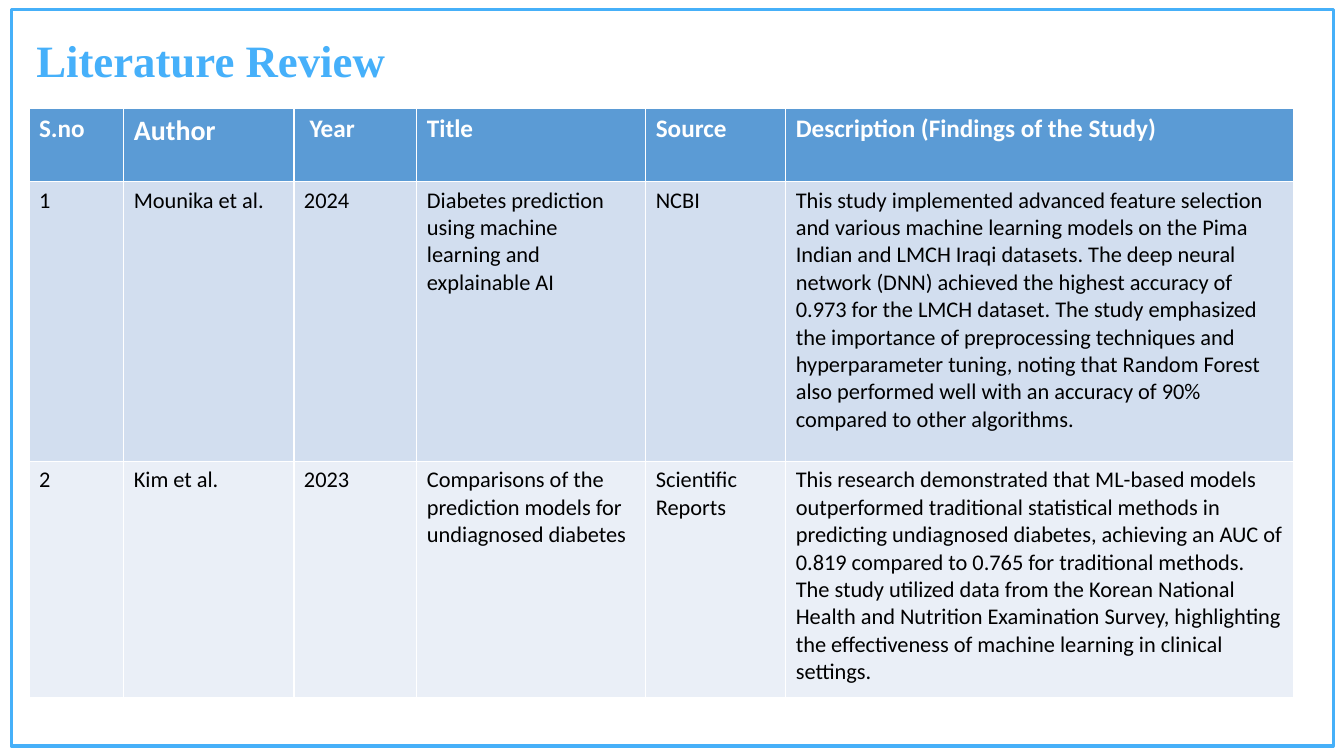
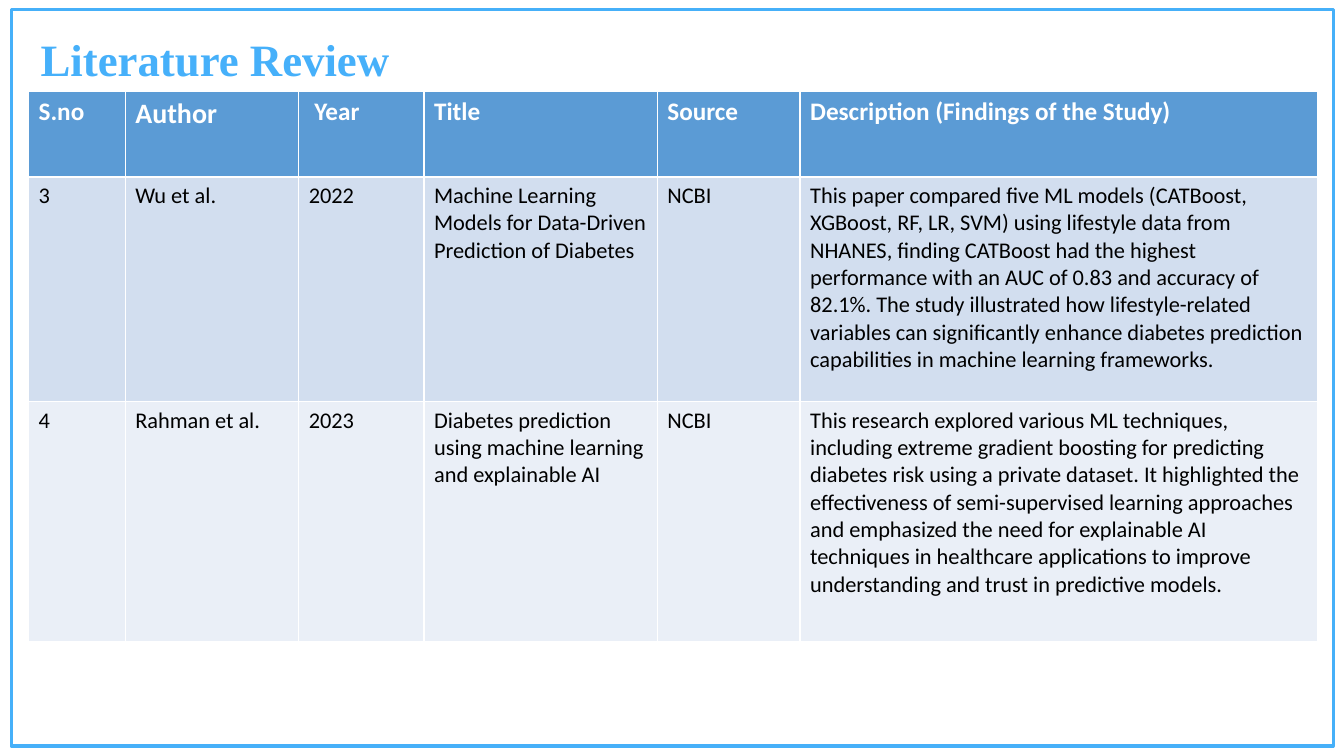
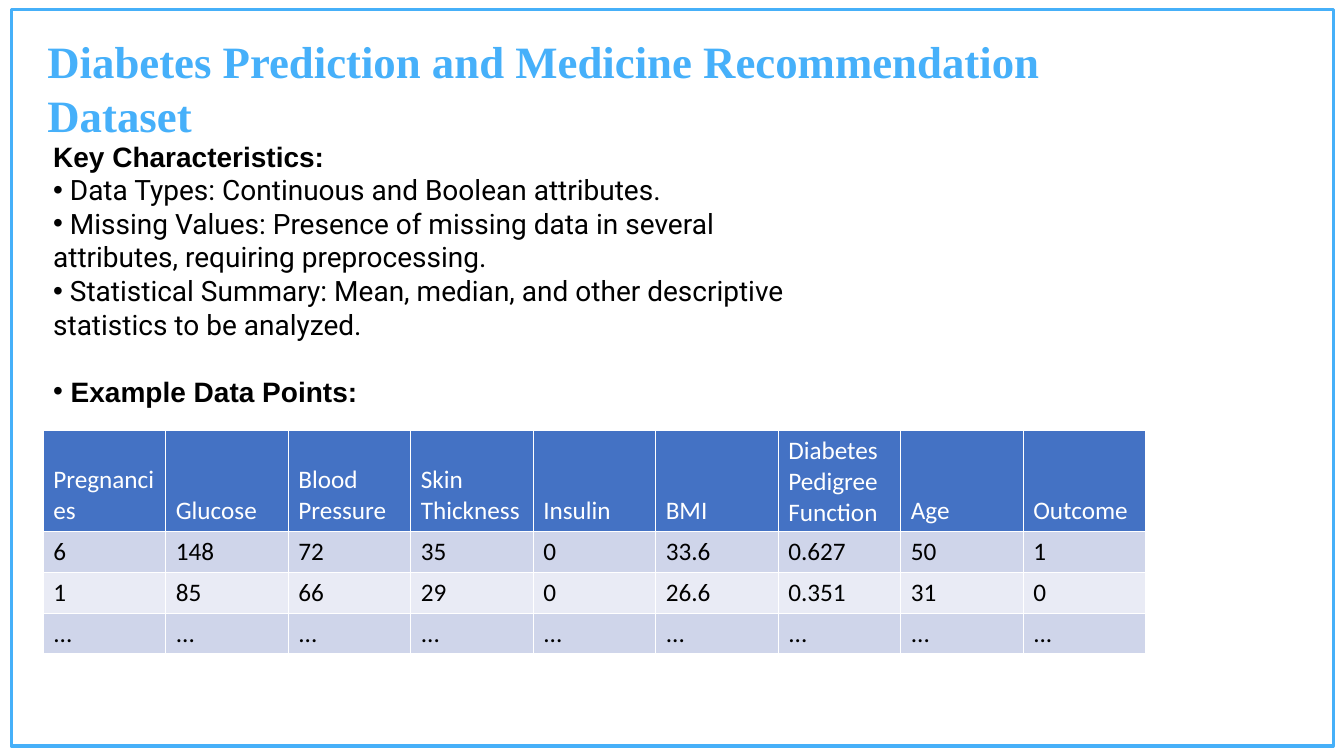
from dataclasses import dataclass

from lxml import etree
from pptx import Presentation
from pptx.dml.color import RGBColor
from pptx.enum.shapes import MSO_SHAPE
from pptx.enum.text import MSO_ANCHOR, MSO_AUTO_SIZE, PP_ALIGN
from pptx.oxml.ns import qn
from pptx.util import Cm, Pt

RECTANGLE = MSO_SHAPE.RECTANGLE
TOP, MIDDLE, BOTTOM = MSO_ANCHOR.TOP, MSO_ANCHOR.MIDDLE, MSO_ANCHOR.BOTTOM
NO_AUTO_SIZE = MSO_AUTO_SIZE.NONE
LEFT = PP_ALIGN.LEFT
TITLE_ONLY_LAYOUT = 5


@dataclass(frozen=True)
class TableLook:
    header_fill: str
    band_fills: tuple
    header_size: float
    body_size: float
    header_bold: bool
    header_anchor: object
    body_anchor: object


@dataclass(frozen=True)
class Theme:
    accent: str = "46B0FA"
    frame: str = "46B0F9"
    text: str = "000000"
    header_text: str = "FFFFFF"
    title_font: str = "Times New Roman"
    heading_font: str = "Arial"
    list_font: str = "Roboto"
    table_font: str = "Calibri"
    title_size: float = 32
    title_line: float = 38.5
    list_size: float = 20
    list_line: float = 24
    author_size: float = 20
    frame_width: float = 2.25
    review: TableLook = TableLook("5B9BD5", ("D2DEEF", "EAEFF7"), 18, 16, True, TOP, TOP)
    data: TableLook = TableLook("4472C4", ("CFD5EA", "E9EBF5"), 18, 18, False, BOTTOM, MIDDLE)


THEME = Theme()

REVIEW_HEADER = ["S.no", "Author", " Year", "Title", "Source", "Description (Findings of the Study)"]
REVIEW_COLUMNS = [2.39, 4.29, 3.1, 5.77, 3.53, 12.8]

EARLIER_STUDIES = [
    ["1", "Mounika et al.", "2024",
     "Diabetes prediction using machine learning and explainable AI", "NCBI",
     "This study implemented advanced feature selection and various machine learning models on the "
     "Pima Indian and LMCH Iraqi datasets. The deep neural network (DNN) achieved the highest "
     "accuracy of 0.973 for the LMCH dataset. The study emphasized the importance of preprocessing "
     "techniques and hyperparameter tuning, noting that Random Forest also performed well with an "
     "accuracy of 90% compared to other algorithms."],
    ["2", "Kim et al.", "2023",
     "Comparisons of the prediction models for undiagnosed diabetes", "Scientific Reports",
     "This research demonstrated that ML-based models outperformed traditional statistical methods "
     "in predicting undiagnosed diabetes, achieving an AUC of 0.819 compared to 0.765 for "
     "traditional methods. The study utilized data from the Korean National Health and Nutrition "
     "Examination Survey, highlighting the effectiveness of machine learning in clinical settings."],
]

LATER_STUDIES = [
    ["3", "Wu et al.", "2022",
     "Machine Learning Models for Data-Driven Prediction of Diabetes", "NCBI",
     "This paper compared five ML models (CATBoost, XGBoost, RF, LR, SVM) using lifestyle data from "
     "NHANES, finding CATBoost had the highest performance with an AUC of 0.83 and accuracy of "
     "82.1%. The study illustrated how lifestyle-related variables can significantly enhance "
     "diabetes prediction capabilities in machine learning frameworks."],
    ["4", "Rahman et al.", "2023",
     "Diabetes prediction using machine learning and explainable AI", "NCBI",
     "This research explored various ML techniques, including extreme gradient boosting for "
     "predicting diabetes risk using a private dataset. It highlighted the effectiveness of "
     "semi-supervised learning approaches and emphasized the need for explainable AI techniques in "
     "healthcare applications to improve understanding and trust in predictive models."],
]

PATIENT_ROWS = [
    ["Pregnancies", "Glucose", "Blood Pressure", "Skin Thickness", "Insulin", "BMI",
     "Diabetes Pedigree Function", "Age", "Outcome"],
    ["6", "148", "72", "35", "0", "33.6", "0.627", "50", "1"],
    ["1", "85", "66", "29", "0", "26.6", "0.351", "31", "0"],
    ["..."] * 9,
]

CHARACTERISTICS = [
    " Data Types: Continuous and Boolean attributes.",
    " Missing Values: Presence of missing data in several attributes, requiring preprocessing.",
    " Statistical Summary: Mean, median, and other descriptive statistics to be analyzed.",
]


def format_font(paragraph, name, size, color, bold=False):
    font = paragraph.font
    font.name, font.size, font.bold = name, Pt(size), bold
    font.color.rgb = RGBColor.from_string(color)


def add_bullet(paragraph):
    """Put a bullet at the left edge, with wrapped lines starting below it."""
    properties = paragraph._p.get_or_add_pPr()
    properties.set("marL", "0")
    properties.set("indent", "0")
    etree.SubElement(properties, qn("a:buFont")).set("typeface", "Arial")
    etree.SubElement(properties, qn("a:buChar")).set("char", "•")


def add_frame(slide):
    frame = slide.shapes.add_shape(RECTANGLE, Cm(0.28), Cm(0.23), Cm(33.32), Cm(18.57))
    frame.shadow.inherit = False
    frame.fill.background()
    frame.line.color.rgb = RGBColor.from_string(THEME.frame)
    frame.line.width = Pt(THEME.frame_width)


def add_framed_slide(presentation, title_lines, left, top, width, height):
    slide = presentation.slides.add_slide(presentation.slide_layouts[TITLE_ONLY_LAYOUT])
    add_frame(slide)
    title = slide.shapes.title
    title.left, title.top, title.width, title.height = Cm(left), Cm(top), Cm(width), Cm(height)
    frame = title.text_frame
    frame.auto_size = NO_AUTO_SIZE
    frame.word_wrap = True
    frame.vertical_anchor = TOP
    frame.text = "\n".join(title_lines)
    for paragraph in frame.paragraphs:
        paragraph.alignment = LEFT
        paragraph.line_spacing = Pt(THEME.title_line)
        format_font(paragraph, THEME.title_font, THEME.title_size, THEME.accent, True)
    return slide


def add_table(slide, look, rows, left, top, width, row_heights, column_weights):
    """Add a banded table whose columns share the width by weight."""
    table = slide.shapes.add_table(
        len(rows), len(column_weights), Cm(left), Cm(top), Cm(width), Cm(sum(row_heights))).table
    for column, weight in zip(table.columns, column_weights):
        column.width = Cm(width * weight / sum(column_weights))
    for row_index, (row, height, texts) in enumerate(zip(table.rows, row_heights, rows)):
        row.height = Cm(height)
        is_header = row_index == 0
        fill = look.header_fill if is_header else look.band_fills[(row_index - 1) % 2]
        color = THEME.header_text if is_header else THEME.text
        size = look.header_size if is_header else look.body_size
        for cell, text in zip(row.cells, texts):
            cell.text = text
            cell.fill.solid()
            cell.fill.fore_color.rgb = RGBColor.from_string(fill)
            cell.vertical_anchor = look.header_anchor if is_header else look.body_anchor
            format_font(cell.text_frame.paragraphs[0], THEME.table_font, size, color,
                        is_header and look.header_bold)
    return table


def add_review_slide(presentation, studies, title_left, title_top, left, top, width, row_heights):
    slide = add_framed_slide(presentation, ["Literature Review"], title_left, title_top, 20.93, 1.63)
    table = add_table(slide, THEME.review, [REVIEW_HEADER] + studies, left, top, width,
                      row_heights, REVIEW_COLUMNS)
    table.cell(0, 1).text_frame.paragraphs[0].font.size = Pt(THEME.author_size)


def add_characteristics(slide):
    box = slide.shapes.add_textbox(Cm(1.09), Cm(3.35), Cm(19.74), Cm(7.09))
    frame = box.text_frame
    frame.word_wrap = True
    frame.vertical_anchor = MIDDLE
    lines = ["Key Characteristics:", *CHARACTERISTICS, " Example Data Points:"]
    frame.text = "\n".join(lines)
    heading, *items, example = frame.paragraphs
    for paragraph in [*items, example]:
        add_bullet(paragraph)
    example.space_before = Pt(THEME.list_line)
    for paragraph in frame.paragraphs:
        paragraph.line_spacing = Pt(THEME.list_line)
    for paragraph in items:
        format_font(paragraph, THEME.list_font, THEME.list_size, THEME.text)
    for paragraph in (heading, example):
        format_font(paragraph, THEME.heading_font, THEME.list_size, THEME.text, True)


def add_dataset_slide(presentation):
    title_lines = ["Diabetes Prediction and Medicine Recommendation", "Dataset"]
    slide = add_framed_slide(presentation, title_lines, 0.94, 0.71, 28.3, 3)
    add_characteristics(slide)
    add_table(slide, THEME.data, PATIENT_ROWS, 1.09, 10.85, 27.79,
              [2.52] + [1.03] * 3, [1] * len(PATIENT_ROWS[0]))


def main():
    presentation = Presentation()
    presentation.slide_width, presentation.slide_height = Cm(33.87), Cm(19.05)
    add_review_slide(presentation, EARLIER_STUDIES, 0.66, 0.69, 0.73, 2.73, 31.87, [1.85, 7.05, 5.94])
    add_review_slide(presentation, LATER_STUDIES, 0.77, 0.66, 0.72, 2.3, 32.49, [2.16, 5.66, 6.05])
    add_dataset_slide(presentation)
    presentation.save("out.pptx")


if __name__ == "__main__":
    main()
